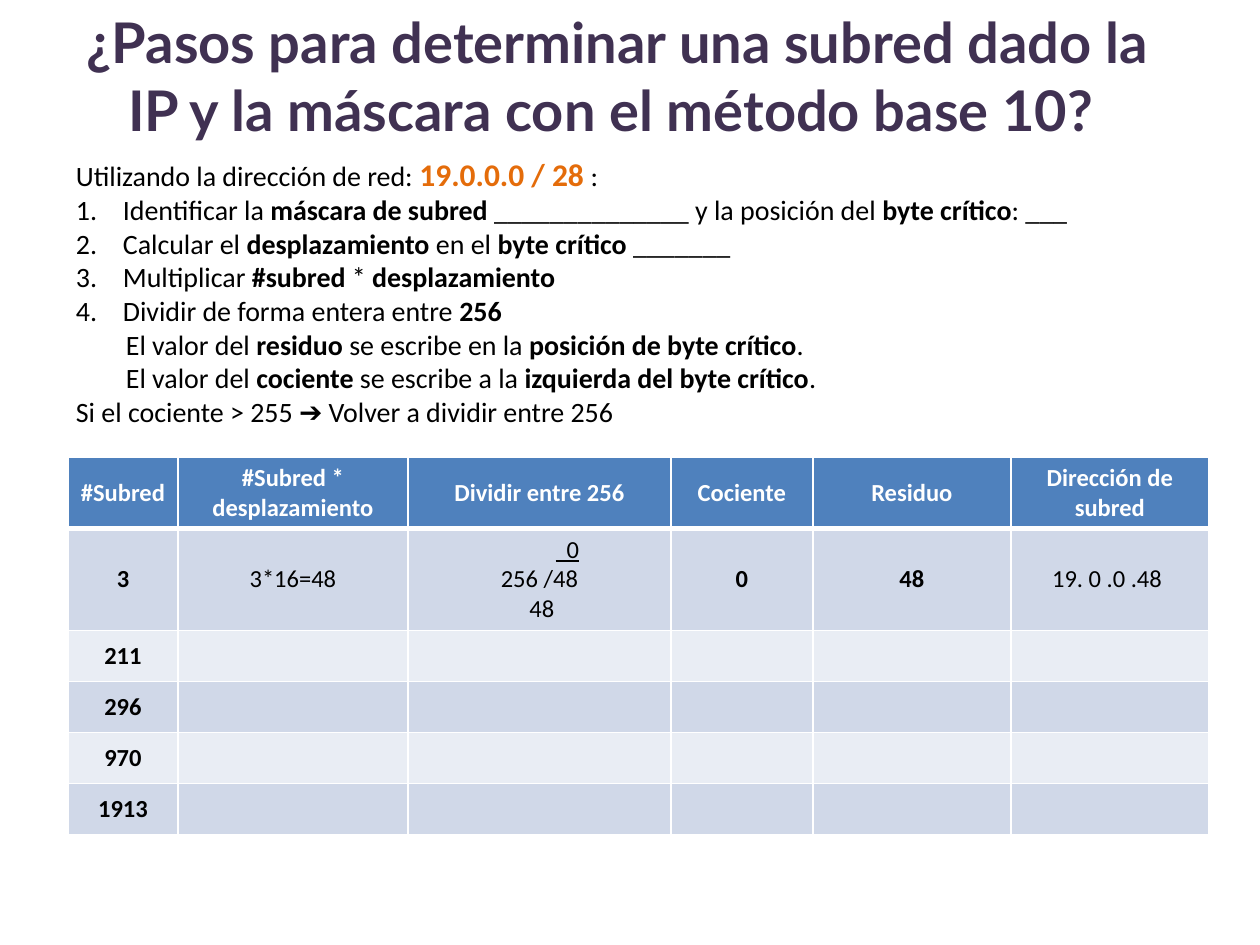
from lxml import etree
from pptx import Presentation
from pptx import util as u
from pptx.dml.color import RGBColor
from pptx.enum import text
from pptx.oxml.ns import qn

COLORS = {"title": "403152", "address": "E46C0A", "ink": "000000", "white": "FFFFFF",
          "header": "4F81BD", "odd": "D0D8E8", "even": "E9EDF4"}
BODY_FONT, TITLE_FONT = "Calibri", "Lato"
CENTER = text.PP_ALIGN.CENTER


def px(n):
    return u.Emu(round(n * 914400 / 126))


def color(name):
    return RGBColor.from_string(COLORS[name])


def add_run(par, words, size, ink="ink", bold=False, face=BODY_FONT, underline=False):
    run = par.add_run()
    run.text = words
    font = run.font
    font.name, font.size, font.bold = face, u.Pt(size), bold
    font.color.rgb = color(ink)
    if underline:
        font.underline = True


def add_marked(par, words, size):
    """Words between asterisk pairs are bold."""
    for i, part in enumerate(words.split("**")):
        if part:
            add_run(par, part, size, bold=i % 2 == 1)


def set_indent(par, left, hanging=0):
    props = par._p.get_or_add_pPr()
    props.set("marL", str(px(left)))
    props.set("indent", str(-px(hanging)))
    return props


def set_insets(frame, left, top, right, bottom):
    frame.margin_left, frame.margin_top = px(left), px(top)
    frame.margin_right, frame.margin_bottom = px(right), px(bottom)


def build_title(slide, left, top, width, height):
    title = slide.shapes.title
    title.left, title.top = px(left), px(top)
    title.width, title.height = px(width), px(height)
    frame = title.text_frame
    frame.auto_size = text.MSO_AUTO_SIZE.NONE
    frame.word_wrap = True
    frame.vertical_anchor = text.MSO_ANCHOR.MIDDLE
    set_insets(frame, 13, 6, 13, 71)
    par = frame.paragraphs[0]
    par.alignment = CENTER
    add_run(par, " ¿Pasos para determinar una subred dado la IP y la máscara "
            "con el método base 10?", 32, "title", True, TITLE_FONT)


def build_steps(slide, left, top, width, height):
    frame = slide.shapes.add_textbox(px(left), px(top), px(width), px(height)).text_frame
    frame.word_wrap = True
    set_insets(frame, 0, 0, 0, 0)

    # Network address
    intro = frame.paragraphs[0]
    intro.alignment = text.PP_ALIGN.JUSTIFY
    set_indent(intro, 12)
    add_run(intro, "Utilizando la dirección de red: ", 16)
    add_run(intro, "19.0.0.0 / 28", 18, "address", True)
    add_run(intro, " :", 16)

    # Numbered steps, their details and the closing rule
    lines = [
        ("step", "Identificar la **máscara de subred** ______________ y la posición del "
                 "**byte crítico**: ___"),
        ("step", "Calcular el **desplazamiento **en el **byte crítico **_______"),
        ("step", "Multiplicar **#subred** * **desplazamiento**"),
        ("step", "Dividir de forma entera entre **256**"),
        ("detail", "El valor del **residuo** se escribe en la **posición de byte crítico**."),
        ("detail", "El valor del **cociente** se escribe a la **izquierda del byte crítico**."),
        ("rule", "Si el cociente > 255 ➔ Volver a dividir entre 256"),
    ]
    indents = {"step": (59, 47), "detail": (62, 0), "rule": (12, 0)}
    for kind, words in lines:
        par = frame.add_paragraph()
        par.alignment = text.PP_ALIGN.JUSTIFY
        props = set_indent(par, *indents[kind])
        if kind == "step":
            etree.SubElement(props, qn("a:buFont"), typeface="+mj-lt")
            etree.SubElement(props, qn("a:buAutoNum"), type="arabicPeriod")
        add_marked(par, words, 16)


def style_cell(cell, fill, top=1, bottom=1):
    cell.vertical_anchor = text.MSO_ANCHOR.MIDDLE
    cell.margin_left = cell.margin_right = px(9)
    props = cell._tc.get_or_add_tcPr()
    for side, points in (("L", 1), ("R", 1), ("T", top), ("B", bottom)):
        line = etree.SubElement(props, qn("a:ln" + side), w=str(u.Pt(points)))
        solid = etree.SubElement(line, qn("a:solidFill"))
        etree.SubElement(solid, qn("a:srgbClr"), val=COLORS["white"])
    cell.fill.solid()
    cell.fill.fore_color.rgb = color(fill)


def fill_division(cell):
    """Long division: quotient, operands and remainder, each with its own shift."""
    frame = cell.text_frame
    for i, (words, shift) in enumerate([("  0", 56), ("256 /48", 0), ("48", 5)]):
        par = frame.add_paragraph() if i else frame.paragraphs[0]
        par.alignment = CENTER
        set_indent(par, shift)
        add_run(par, words, 14, underline=i == 0)


def build_subnets(slide, left, top):
    widths = [110, 230, 263, 142, 198, 198]
    heights = [70, 102] + [51] * 4
    rows = [
        ["#Subred", "#Subred * desplazamiento", "Dividir entre 256", "Cociente", "Residuo",
         "Dirección de subred"],
        ["3", "3*16=48", "", "0", "48", "19. 0 .0 .48 "],
        ["211"], ["296"], ["970"], ["1913"],
    ]
    bold_columns = (0, 3, 4)
    table = slide.shapes.add_table(len(rows), len(widths), px(left), px(top),
                                   px(sum(widths)), px(sum(heights))).table
    for column, width in zip(table.columns, widths):
        column.width = px(width)
    for r, (row, height) in enumerate(zip(rows, heights)):
        table.rows[r].height = px(height)
        header = r == 0
        fill = "header" if header else ("odd" if r % 2 else "even")
        for c in range(len(widths)):
            style_cell(table.cell(r, c), fill, top=3 if r == 1 else 1, bottom=3 if header else 1)
        for c, words in enumerate(row):
            if words:
                par = table.cell(r, c).text_frame.paragraphs[0]
                par.alignment = CENTER
                add_run(par, words, 14, "white" if header else "ink",
                        header or c in bold_columns)
    fill_division(table.cell(1, 2))


def main():
    prs = Presentation()
    prs.slide_width, prs.slide_height = px(1260), px(945)
    slide = prs.slides.add_slide(prs.slide_layouts[5])
    build_steps(slide, 64, 155, 1147, 276)
    build_title(slide, 49, 30, 1124, 155)
    build_subnets(slide, 68, 457)
    prs.save("out.pptx")


if __name__ == "__main__":
    main()
